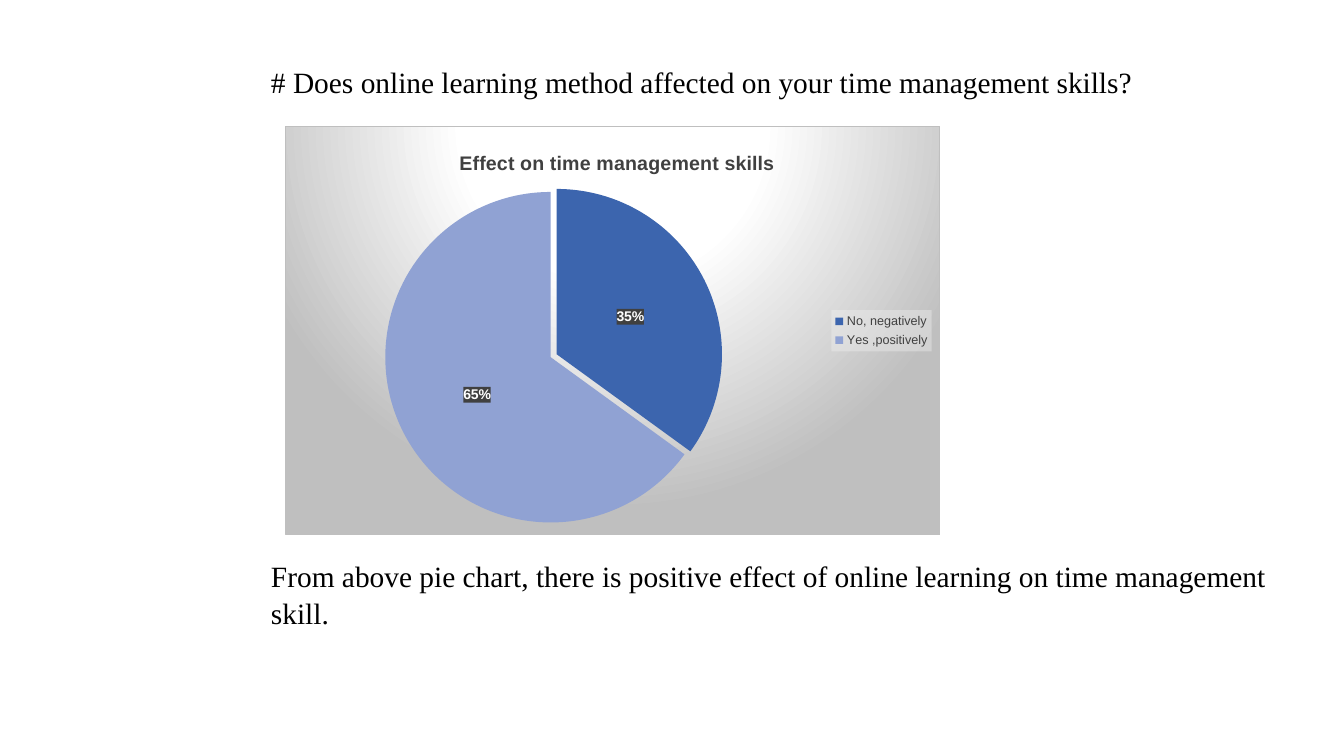
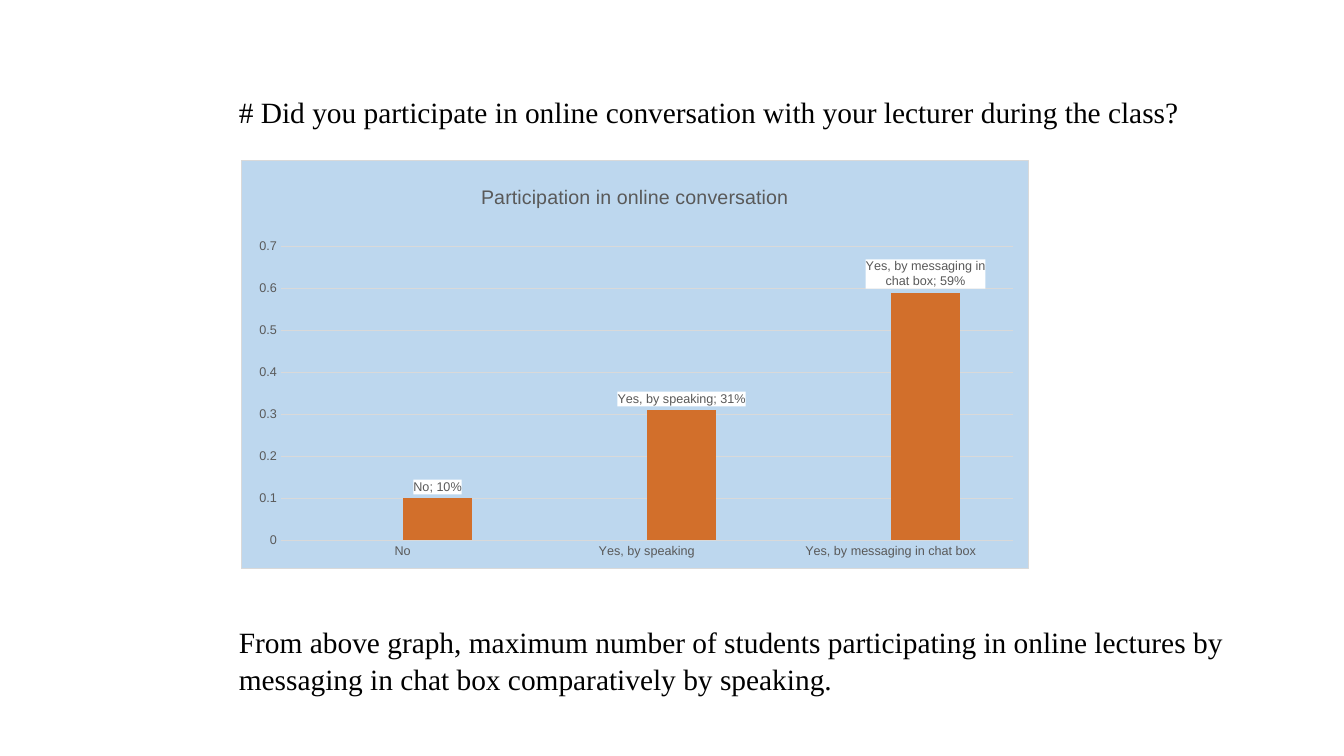
from lxml import etree
from pptx import Presentation
from pptx.chart.data import CategoryChartData
from pptx.dml.color import RGBColor
from pptx.enum.chart import XL_CHART_TYPE, XL_LABEL_POSITION, XL_LEGEND_POSITION, XL_TICK_MARK
from pptx.oxml import parse_xml
from pptx.oxml.ns import nsdecls, qn
from pptx.util import Cm, Pt

PIE = XL_CHART_TYPE.PIE
COLUMNS = XL_CHART_TYPE.COLUMN_CLUSTERED
CENTER = XL_LABEL_POSITION.CENTER
OUTSIDE_END = XL_LABEL_POSITION.OUTSIDE_END
LEGEND_RIGHT = XL_LEGEND_POSITION.RIGHT
NO_TICKS = XL_TICK_MARK.NONE

COLORS = {
    "text": "000000",
    "white": "FFFFFF",
    "silver": "BFBFBF",
    "legend": "F2F2F2",
    "dark": "404040",
    "gray": "595959",
    "grid": "D9D9D9",
    "sky": "BDD7EE",
    "blue": "3C65AE",
    "lavender": "90A2D3",
    "salmon": "F1A78B",
    "orange": "D26F2B",
}
TEXT_FONT = "Times New Roman"
CHART_FONT = "Arial"
CHART_HEIGHT = 10.31


def rgb(name):
    return RGBColor.from_string(COLORS[name])


def style_font(font, size, color, name=CHART_FONT, bold=False):
    font.name = name
    font.size = Pt(size)
    font.bold = bold
    font.color.rgb = rgb(color)


def fill_solid(part, color):
    part.format.fill.solid()
    part.format.fill.fore_color.rgb = rgb(color)


def add_statement(slide, text, left, top, width, height):
    frame = slide.shapes.add_textbox(Cm(left), Cm(top), Cm(width), Cm(height)).text_frame
    frame.word_wrap = True
    paragraph = frame.paragraphs[0]
    paragraph.line_spacing = 1.05
    run = paragraph.add_run()
    run.text = text
    style_font(run.font, 21, "text", TEXT_FONT)


def solid_xml(color, opacity=100):
    return (f'<a:solidFill><a:srgbClr val="{COLORS[color]}">'
            f'<a:alpha val="{opacity * 1000}"/></a:srgbClr></a:solidFill>')


def spotlight_xml():
    """Radial gradient centred above the chart, white fading to silver."""
    stops = "".join(
        f'<a:gs pos="{position * 1000}"><a:srgbClr val="{COLORS[color]}"/></a:gs>'
        for position, color in ((0, "white"), (39, "white"), (100, "silver")))
    return (f'<a:gradFill><a:gsLst>{stops}</a:gsLst><a:path path="circle">'
            '<a:fillToRect l="50000" t="-80000" r="50000" b="180000"/></a:path></a:gradFill>')


def paint(element, fill, border=None):
    """Give a chart part a background; its font must already be set."""
    line = f'<a:ln w="9525">{solid_xml(border)}</a:ln>' if border else ""
    element.find(qn("c:txPr")).addprevious(
        parse_xml(f'<c:spPr {nsdecls("c", "a")}>{fill}{line}</c:spPr>'))


def layout_element(target=None, **fractions):
    layout = etree.Element(qn("c:layout"))
    manual = etree.SubElement(layout, qn("c:manualLayout"))
    if target:
        etree.SubElement(manual, qn("c:layoutTarget"), val=target)
    for axis in "xy":
        etree.SubElement(manual, qn(f"c:{axis}Mode"), val="edge")
    for key, fraction in fractions.items():
        etree.SubElement(manual, qn(f"c:{key}"), val=str(fraction))
    return layout


def drop_layout(element):
    for layout in element.findall(qn("c:layout")):
        element.remove(layout)


def set_title(chart, text, color, x, bold=False):
    chart.has_title = True
    run = chart.chart_title.text_frame.paragraphs[0].add_run()
    run.text = text
    style_font(run.font, 14, color, bold=bold)
    title = chart._chartSpace.chart.find(qn("c:title"))
    drop_layout(title)
    title.find(qn("c:tx")).addnext(layout_element(x=x, y=0.05))


def place_plot(chart, x, y, w, h):
    area = chart._chartSpace.chart.plotArea
    drop_layout(area)
    area.insert(0, layout_element("inner", x=x, y=y, w=w, h=h))


def add_chart(slide, kind, left, top, width, categories, series, background, border):
    data = CategoryChartData()
    data.categories = categories
    for name, values in series:
        data.add_series(name, values)
    chart = slide.shapes.add_chart(
        kind, Cm(left), Cm(top), Cm(width), Cm(CHART_HEIGHT), data).chart
    style_font(chart.font, 10, "text")
    paint(chart._chartSpace, background, border)
    chart.plots[0].vary_by_categories = kind == PIE
    return chart


def add_labels(series, size, color, background, position, bold=False):
    labels = series.data_labels
    style_font(labels.font, size, color, bold=bold)
    paint(labels._element, background)
    labels.position = position
    return labels


def add_time_pie(slide):
    chart = add_chart(
        slide, PIE, 7.19, 3.18, 16.51, ["No, negatively", "Yes ,positively"],
        [("Series 1", (35, 65))], spotlight_xml(), "silver")
    set_title(chart, "Effect on time management skills", "dark", 0.26, bold=True)
    place_plot(chart, 0.15, 0.16, 0.51, 0.81)

    answers = chart.plots[0].series[0]
    for index, color in enumerate(("blue", "lavender")):
        fill_solid(answers.points[index], color)
    first_slice = answers._element.find(qn("c:dPt"))
    explosion = etree.Element(qn("c:explosion"), val="4")
    first_slice.find(qn("c:spPr")).addprevious(explosion)

    labels = add_labels(answers, 10, "white", solid_xml("dark", 90), CENTER, bold=True)
    labels.show_value = False
    labels.show_percentage = True

    chart.has_legend = True
    chart.legend.position = LEGEND_RIGHT
    chart.legend.include_in_layout = False
    style_font(chart.legend.font, 9, "dark")
    paint(chart.legend._element, solid_xml("legend", 39))


def add_participation_columns(slide):
    chart = add_chart(
        slide, COLUMNS, 6.07, 4.04, 19.86,
        ["No", "Yes, by speaking", "Yes, by messaging in chat box"],
        [("Series 1", (None, None, None)), ("Series 2", (0.1, 0.31, 0.59))],
        solid_xml("sky"), "grid")
    chart.has_legend = False
    set_title(chart, "Participation in online conversation", "gray", 0.3)
    place_plot(chart, 0.05, 0.21, 0.93, 0.72)

    plot = chart.plots[0]
    plot.gap_width = 150
    plot.overlap = 0
    for series, color in zip(plot.series, ("salmon", "orange")):
        fill_solid(series, color)

    labels = add_labels(plot.series[1], 9, "gray", solid_xml("white"), OUTSIDE_END)
    labels.number_format = "0%"
    labels.number_format_is_linked = False
    labels.show_value = True
    labels.show_category_name = True
    separator = etree.Element(qn("c:separator"))
    separator.text = "; "
    labels._element.find(qn("c:showBubbleSize")).addnext(separator)

    for axis in (chart.category_axis, chart.value_axis):
        axis.major_tick_mark = axis.minor_tick_mark = NO_TICKS
        axis.format.line.fill.background()
        style_font(axis.tick_labels.font, 9, "gray")
    scale = chart.value_axis
    scale.minimum_scale, scale.maximum_scale, scale.major_unit = 0, 0.7, 0.1
    gridline = scale.major_gridlines.format.line
    gridline.color.rgb = rgb("grid")
    gridline.width = Pt(0.75)


def add_survey_slide(deck, question, finding, left, width, question_top, finding_top, draw_chart):
    slide = deck.slides.add_slide(deck.slide_layouts[6])
    add_statement(slide, question, left, question_top, width, 1.2)
    draw_chart(slide)
    add_statement(slide, finding, left, finding_top, width, 2.1)


def main():
    deck = Presentation()
    deck.slide_width, deck.slide_height = Cm(33.87), Cm(19.05)
    add_survey_slide(
        deck,
        "# Does online learning method affected on your time management skills?",
        "From above pie chart, there is positive effect of online learning on time "
        "management skill.",
        6.58, 26.47, 1.45, 13.89, add_time_pie)
    add_survey_slide(
        deck,
        "# Did you participate in online conversation with your lecturer during the class?",
        "From above graph, maximum number of students participating in online lectures by "
        "messaging in chat box comparatively by speaking.",
        5.77, 28.09, 2.21, 15.55, add_participation_columns)
    deck.save("out.pptx")


if __name__ == "__main__":
    main()
